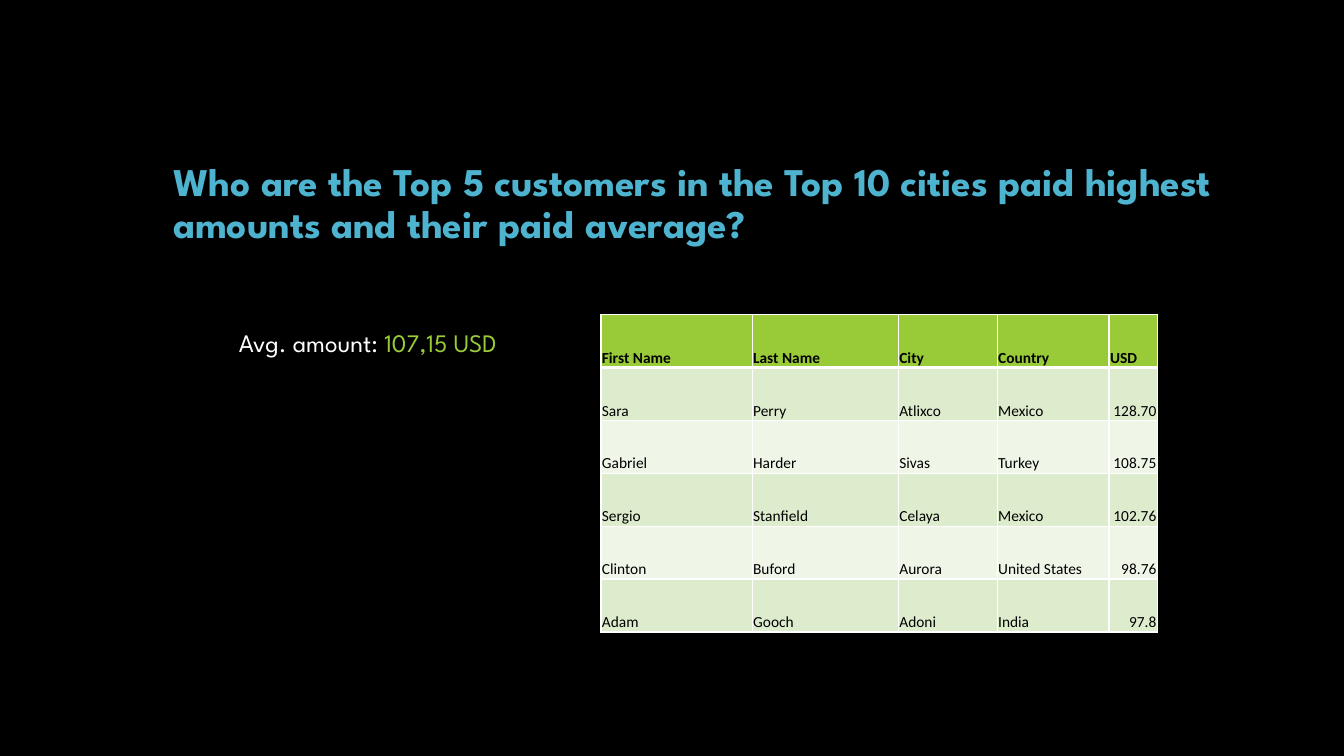
from dataclasses import dataclass

from lxml.etree import SubElement
from pptx import Presentation
from pptx.dml.color import RGBColor
from pptx.enum.text import MSO_ANCHOR, PP_ALIGN
from pptx.oxml.ns import qn
from pptx.util import Inches, Pt


@dataclass(frozen=True)
class Theme:
    background: str = "000000"
    title: str = "4EB3CF"
    text: str = "FFFFFF"
    accent: str = "99CB38"
    cell_text: str = "000000"
    bands: tuple = ("DEECCE", "EFF6E8")
    border: str = "FFFFFF"
    display_font: str = "League Spartan"
    table_font: str = "Calibri"
    title_size: int = 28
    note_size: int = 18
    table_size: int = 11


THEME = Theme()

COLUMN_WIDTHS = (1.5, 1.45, 0.98, 1.11, 0.48)
CUSTOMERS = (
    ("First Name", "Last Name", "City", "Country", "USD"),
    ("Sara", "Perry", "Atlixco", "Mexico", "128.70"),
    ("Gabriel", "Harder", "Sivas", "Turkey", "108.75"),
    ("Sergio", "Stanfield", "Celaya", "Mexico", "102.76"),
    ("Clinton", "Buford", "Aurora", "United States", "98.76"),
    ("Adam", "Gooch", "Adoni", "India", "97.8"),
)


def add_run(p, text, font, size, color, bold=False):
    r = p.add_run()
    r.text = text
    for name, value in {"name": font, "size": Pt(size), "bold": bold}.items():
        setattr(r.font, name, value)
    r.font.color.rgb = RGBColor.from_string(color)


def add_text(s, box, anchor):
    tf = s.shapes.add_textbox(*map(Inches, box)).text_frame
    tf.word_wrap = True
    tf.vertical_anchor = anchor
    return tf.paragraphs[0]


def add_title(s, box):
    p = add_text(s, box, MSO_ANCHOR.BOTTOM)
    p.line_spacing = 0.9
    add_run(p, "Who are the Top 5 customers in the Top 10 cities paid highest "
            "amounts and their paid average?",
            THEME.display_font, THEME.title_size, THEME.title, True)


def add_average(s, box):
    p = add_text(s, box, MSO_ANCHOR.TOP)
    p._p.get_or_add_pPr().set("marL", str(Inches(0.43)))
    for text, color in (("Avg. amount: ", THEME.text), ("107,15 USD", THEME.accent)):
        add_run(p, text, THEME.display_font, THEME.note_size, color)


def set_borders(cell, widths):
    tcPr = cell._tc.get_or_add_tcPr()
    for side, width in widths.items():
        ln = SubElement(tcPr, qn(f"a:ln{side}"), w=str(Pt(width)))
        fill = SubElement(ln, qn("a:solidFill"))
        SubElement(fill, qn("a:srgbClr"), val=THEME.border)


def format_cell(cell, text, row, is_amount):
    header = row == 0
    margins = {f"margin_{side}": Inches(0.01) for side in ("left", "right", "top")}
    layout = {**margins, "margin_bottom": 0, "vertical_anchor": MSO_ANCHOR.BOTTOM}
    for name, value in layout.items():
        setattr(cell, name, value)

    # The rule under the header is heavier than the grid
    set_borders(cell, {"L": 1, "R": 1, "T": 3 if row == 1 else 1, "B": 3 if header else 1})
    cell.fill.solid()
    color = THEME.accent if header else THEME.bands[(row - 1) % 2]
    cell.fill.fore_color.rgb = RGBColor.from_string(color)

    p = cell.text_frame.paragraphs[0]
    p.alignment = PP_ALIGN.RIGHT if is_amount and not header else PP_ALIGN.LEFT
    if header:
        p.line_spacing = 1.5
    add_run(p, text, THEME.table_font, THEME.table_size, THEME.cell_text, header)


def add_customer_table(s, box):
    shape = s.shapes.add_table(len(CUSTOMERS), len(COLUMN_WIDTHS), *map(Inches, box))
    table = shape.table
    for column, width in zip(table.columns, COLUMN_WIDTHS):
        column.width = Inches(width)
    for i, values in enumerate(CUSTOMERS):
        for j, text in enumerate(values):
            format_cell(table.cell(i, j), text, i, j == len(values) - 1)


def add_customers_slide(prs):
    s = prs.slides.add_slide(prs.slide_layouts[6])
    s.background.fill.solid()
    s.background.fill.fore_color.rgb = RGBColor.from_string(THEME.background)
    add_title(s, (1.62, 1, 11.58, 1.5))
    add_customer_table(s, (5.96, 3.12, sum(COLUMN_WIDTHS), 3.15))
    add_average(s, (1.84, 3.2, 3.69, 0.71))


def main():
    prs = Presentation()
    prs.slide_width, prs.slide_height = Inches(13.33), Inches(7.5)
    add_customers_slide(prs)
    prs.save("out.pptx")


if __name__ == "__main__":
    main()
